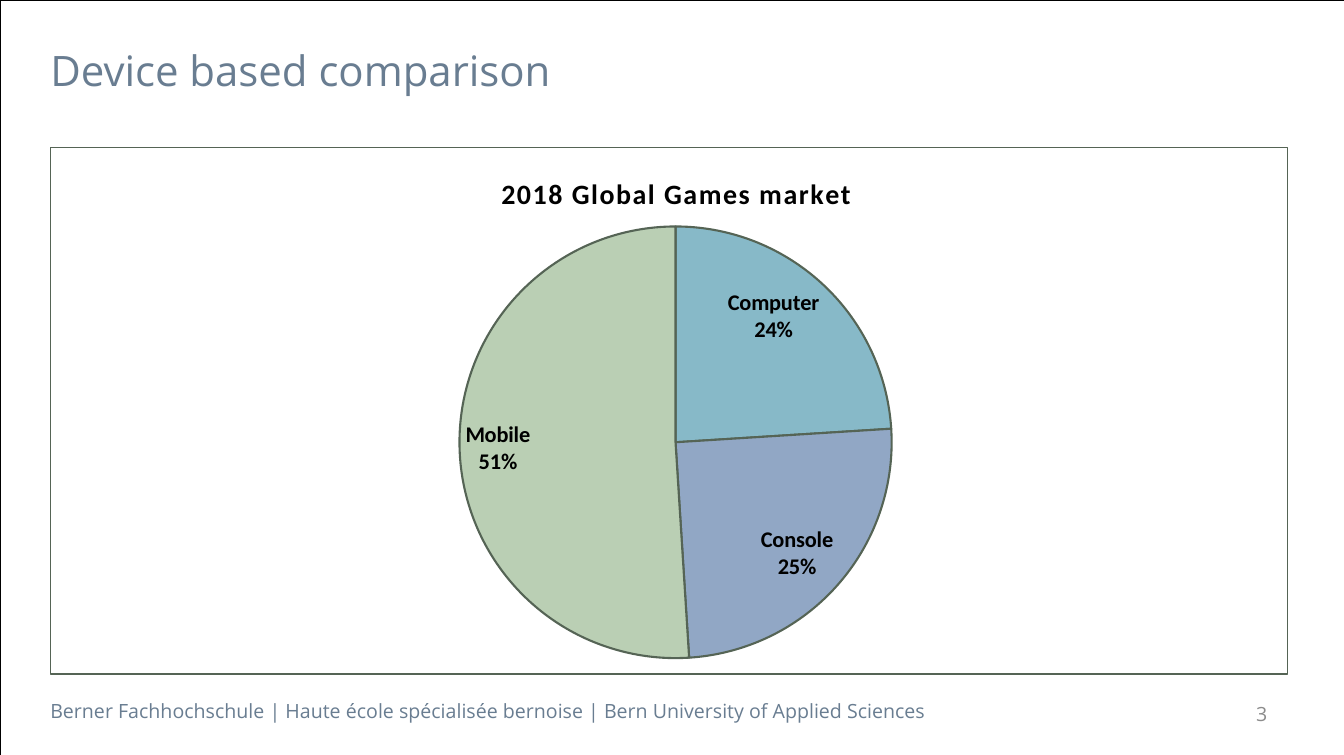
from lxml import etree
from pptx import Presentation
from pptx.chart.data import CategoryChartData
from pptx.dml.color import RGBColor
from pptx.enum.chart import XL_CHART_TYPE, XL_LABEL_POSITION
from pptx.enum.shapes import MSO_SHAPE
from pptx.enum.text import MSO_ANCHOR, MSO_AUTO_SIZE, PP_ALIGN
from pptx.oxml import parse_xml
from pptx.oxml.ns import nsdecls, qn
from pptx.util import Cm, Pt

PIE = XL_CHART_TYPE.PIE
INSIDE_END = XL_LABEL_POSITION.INSIDE_END
RECTANGLE = MSO_SHAPE.RECTANGLE
TOP, MIDDLE = MSO_ANCHOR.TOP, MSO_ANCHOR.MIDDLE
LEFT, RIGHT = PP_ALIGN.LEFT, PP_ALIGN.RIGHT
NO_FIT = MSO_AUTO_SIZE.NONE

COLOURS = {
    "heading": "697D91",
    "number": "8C8C8C",
    "black": "000000",
    "outline": "556455",
    "Computer": "87B9C8",
    "Console": "91A7C5",
    "Mobile": "BACFB4",
}
MARKET_SHARES = {"Computer": 24, "Console": 25, "Mobile": 51}
WIDTH, HEIGHT = Cm(33.91), Cm(19.05)
MARGIN, CONTENT_WIDTH = Cm(1.27), Cm(31.24)


class SlideBuilder:
    text_font = "Open Sans"
    chart_font = "Calibri"

    def __init__(self, slide):
        self.slide = slide

    def colour(self, name):
        return RGBColor.from_string(COLOURS[name])

    def style_font(self, font, name, size, colour, bold=False):
        for key, value in {"name": name, "size": Pt(size), "bold": bold}.items():
            setattr(font, key, value)
        font.color.rgb = self.colour(colour)

    def style_line(self, line, colour, width):
        line.color.rgb = self.colour(colour)
        line.width = Pt(width)

    def fill_text(self, box, text, size, colour, align=LEFT, anchor=TOP, side=Cm(0)):
        frame = box.text_frame
        settings = {
            "word_wrap": True, "auto_size": NO_FIT, "vertical_anchor": anchor,
            "margin_left": side, "margin_right": side,
            "margin_top": Cm(0.13), "margin_bottom": Cm(0.13),
        }
        for key, value in settings.items():
            setattr(frame, key, value)
        para = frame.paragraphs[0]
        para.alignment = align
        para.line_spacing = 1.0
        span = para.add_run()
        span.text = text
        self.style_font(span.font, self.text_font, size, colour)

    def frame(self):
        box = self.slide.shapes.add_shape(RECTANGLE, 0, 0, WIDTH, HEIGHT)
        box.shadow.inherit = False
        box.fill.background()
        self.style_line(box.line, "black", 0.5)

    def title(self, text, left, top, width, height):
        box = self.slide.shapes.title
        bounds = {"left": left, "top": top, "width": width, "height": height}
        for key, value in bounds.items():
            setattr(box, key, value)
        self.fill_text(box, text, 30, "heading")

    def text(self, text, left, top, width, height, colour, **layout):
        box = self.slide.shapes.add_textbox(left, top, width, height)
        self.fill_text(box, text, 14, colour, **layout)

    def place(self, parent, index, **fractions):
        layout = parse_xml(f"<c:layout {nsdecls('c')}><c:manualLayout/></c:layout>")
        for tag, value in fractions.items():
            etree.SubElement(layout[0], qn(f"c:{tag}")).set("val", str(value))
        for old in parent.findall(qn("c:layout")):
            parent.remove(old)
        parent.insert(index, layout)

    def pie(self, title, shares, left, top, width, height):
        data = CategoryChartData()
        data.categories = list(shares)
        data.add_series("Series 1", list(shares.values()))
        chart = self.slide.shapes.add_chart(PIE, left, top, width, height, data).chart
        self.style_font(chart.font, self.chart_font, 10, "black")
        chart.has_legend = False
        chart.has_title = True

        span = chart.chart_title.text_frame.paragraphs[0].add_run()
        span.text = title
        self.style_font(span.font, self.chart_font, 20, "black", True)
        span.font._element.set("spc", "100")

        plot = chart.plots[0]
        plot.vary_by_categories = True
        series = plot.series[0]
        for index, name in enumerate(shares):
            style = series.points[index].format
            style.fill.solid()
            style.fill.fore_color.rgb = self.colour(name)
            self.style_line(style.line, "outline", 1.5)

        plot.has_data_labels = True
        labels = plot.data_labels
        settings = {
            "show_category_name": True, "show_percentage": True,
            "show_value": False, "position": INSIDE_END,
            "number_format": "0%", "number_format_is_linked": False,
        }
        for key, value in settings.items():
            setattr(labels, key, value)
        self.style_font(labels.font, self.chart_font, 16, "black", True)
        separator = parse_xml(f"<c:separator {nsdecls('c')}>\n</c:separator>")
        labels._element.find(qn("c:showBubbleSize")).addnext(separator)

        body = chart._chartSpace.find(qn("c:chart"))
        self.place(body.find(qn("c:title")), 1, xMode="edge", yMode="edge", x=0.36, y=0.04)
        self.place(body.find(qn("c:plotArea")), 0, layoutTarget="inner",
                   xMode="edge", yMode="edge", x=0.33, y=0.15, w=0.35, h=0.82)
        body.addnext(parse_xml(
            f"<c:spPr {nsdecls('c', 'a')}><a:noFill/><a:ln w='{Pt(0.75)}'><a:solidFill>"
            f"<a:srgbClr val='{COLOURS['outline']}'/></a:solidFill></a:ln></c:spPr>"))


def main():
    deck = Presentation()
    deck.slide_width, deck.slide_height = WIDTH, HEIGHT
    page = SlideBuilder(deck.slides.add_slide(deck.slide_layouts[5]))
    page.frame()
    page.title("Device based comparison", MARGIN, Cm(0.99), CONTENT_WIDTH, Cm(1.5))
    page.pie("2018 Global Games market", MARKET_SHARES,
             MARGIN, Cm(3.71), CONTENT_WIDTH, Cm(13.31))
    page.text("Berner Fachhochschule | Haute école spécialisée bernoise | "
              "Bern University of Applied Sciences",
              MARGIN, Cm(17.5), Cm(24.82), Cm(0.86), "heading")
    page.text("3", Cm(24.31), Cm(17.5), Cm(7.92), Cm(1.02), "number",
              align=RIGHT, anchor=MIDDLE, side=Cm(0.25))
    deck.save("out.pptx")


if __name__ == "__main__":
    main()
